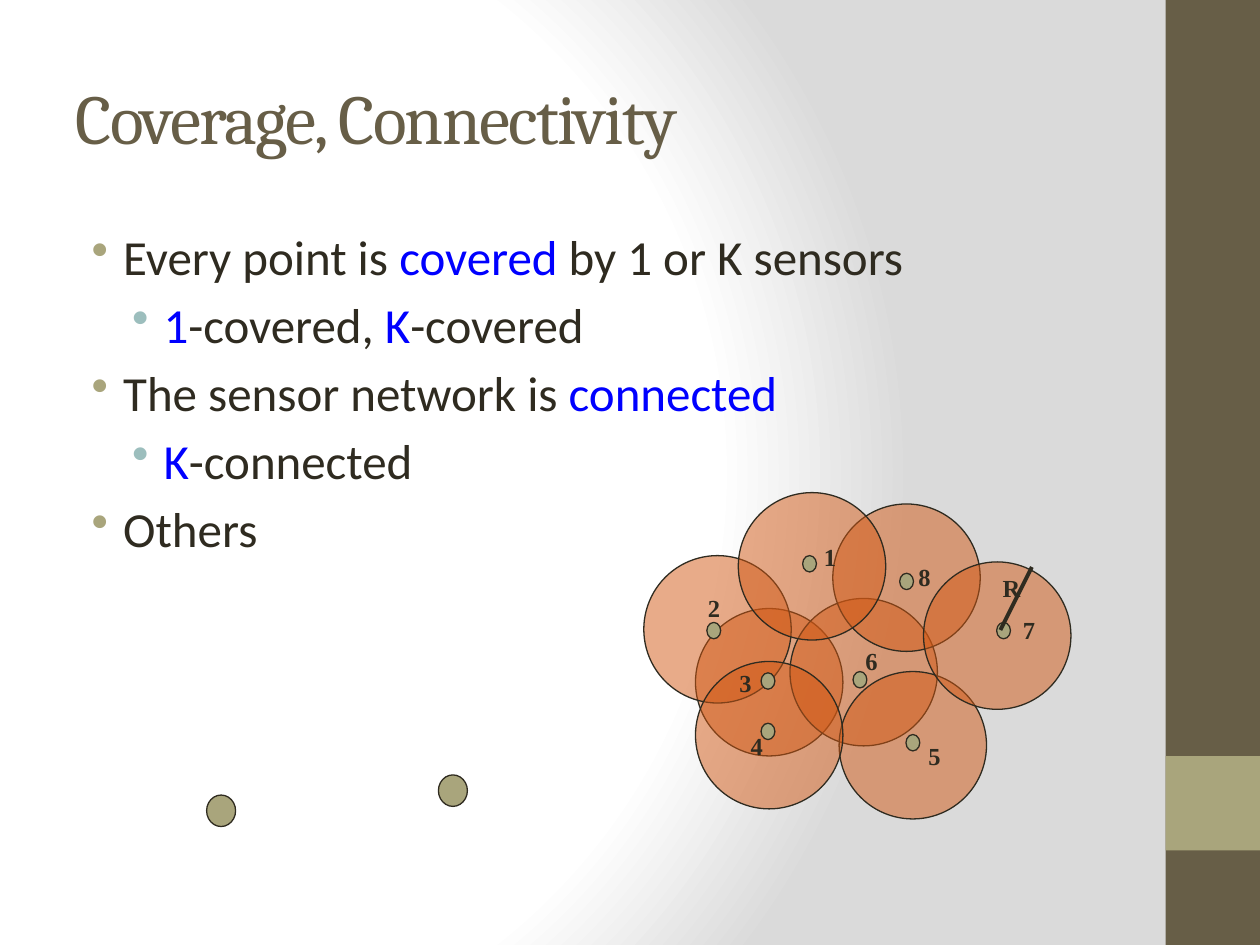
from dataclasses import dataclass

from lxml.etree import SubElement
from pptx import Presentation
from pptx.dml.color import RGBColor
from pptx.enum.shapes import MSO_CONNECTOR, MSO_SHAPE
from pptx.enum.text import MSO_ANCHOR, MSO_AUTO_SIZE, PP_ALIGN
from pptx.oxml import parse_xml
from pptx.oxml.ns import nsdecls, qn
from pptx.util import Pt

EMU_PER_PX = 9144  # 100 px to the inch


@dataclass(frozen=True)
class Theme:
    heading_font: str = "Cambria"
    body_font: str = "Calibri"
    label_font: str = "Times New Roman"
    title_size: int = 40
    body_size: int = 28
    label_size: int = 14
    ink: str = "2F2B20"
    brown: str = "675E47"
    olive: str = "A9A57C"
    teal: str = "9CBEBD"
    orange: str = "D25814"
    keyword: str = "0000FF"
    paper: str = "FFFFFF"
    shade: str = "DADADA"


THEME = Theme()


@dataclass(frozen=True)
class Sensor:
    """Offsets of one sensor's parts from the corner of the network box."""
    number: str
    disc: tuple
    dot: tuple
    label: tuple
    label_width: int = 33


# Back to front, as the coverage discs overlap
SENSORS = [
    Sensor("3", (41, 92), (93, 143), (66, 134), 42),
    Sensor("6", (116, 84), (166, 142), (166, 117)),
    Sensor("8", (150, 9), (203, 64), (208, 50)),
    Sensor("2", (0, 50), (50, 103), (41, 75)),
    Sensor("5", (155, 142), (208, 192), (216, 192)),
    Sensor("7", (222, 55), (280, 103), (291, 92)),
    Sensor("4", (41, 134), (93, 183), (75, 184)),
    Sensor("1", (75, 0), (126, 50), (133, 34), 142),
]
DISC_SIZE, DOT_SIZE, LOOSE_DOT_SIZE = (117, 117), (11, 13), (23, 25)
LABEL_HEIGHT = 33

# (level, [(text, is keyword), ...])
POINTS = [
    (0, [("Every point is ", False), ("covered", True), (" by 1 or K sensors", False)]),
    (1, [("1", True), ("-covered, ", False), ("K", True), ("-covered", False)]),
    (0, [("The sensor network is ", False), ("connected", True)]),
    (1, [("K", True), ("-connected", False)]),
    (0, [("Others", False)]),
]
LEVELS = [(38, THEME.olive), (70, THEME.teal)]  # indent, bullet colour
HANGING = 25


def px(*lengths):
    return [length * EMU_PER_PX for length in lengths]


def write(paragraph, text, *, font, size, color, bold=False, tracking=None):
    run = paragraph.add_run()
    run.text = text
    run.font.name = font
    run.font.size = Pt(size)
    run.font.bold = bold
    run.font.color.rgb = RGBColor.from_string(color)
    if tracking is not None:
        run.font._element.set("spc", str(tracking * 100))


def add_filled(slide, kind, box, color, *, outlined=False, opacity=None):
    shape = slide.shapes.add_shape(kind, *px(*box))
    shape.shadow.inherit = False
    shape.fill.solid()
    shape.fill.fore_color.rgb = RGBColor.from_string(color)
    if opacity is not None:
        tint = shape._element.spPr.find(qn("a:solidFill"))[0]
        SubElement(tint, qn("a:alpha")).set("val", str(opacity * 1000))
    if outlined:
        shape.line.color.rgb = RGBColor.from_string(THEME.ink)
        shape.line.width = Pt(0.75)
    else:
        shape.line.fill.background()


def add_bullet(paragraph, level):
    indent, color = LEVELS[level]
    paragraph.level = level
    properties = paragraph._p.get_or_add_pPr()
    properties.set("marL", str(indent * EMU_PER_PX))
    properties.set("indent", str(-HANGING * EMU_PER_PX))
    tint = SubElement(properties, qn("a:buClr"))
    SubElement(tint, qn("a:srgbClr")).set("val", color)
    SubElement(properties, qn("a:buChar")).set("char", "•")


def paint_background(slide):
    stops = "".join(
        f'<a:gs pos="{percent * 1000}"><a:srgbClr val="{color}"/></a:gs>'
        for percent, color in [(0, THEME.paper), (75, THEME.paper), (100, THEME.shade)])
    slide._element.cSld.insert(0, parse_xml(
        f'<p:bg {nsdecls("p", "a")}><p:bgPr><a:gradFill rotWithShape="1">'
        f'<a:gsLst>{stops}</a:gsLst><a:path path="circle">'
        '<a:fillToRect l="20000" t="50000" r="100000" b="50000"/></a:path>'
        '</a:gradFill><a:effectLst/></p:bgPr></p:bg>'))


def add_sidebar(slide, box):
    left, top, width, height = box
    add_filled(slide, MSO_SHAPE.RECTANGLE, box, THEME.brown)
    add_filled(slide, MSO_SHAPE.RECTANGLE, (left, top + 600, width, width), THEME.olive)


def add_title(slide, box):
    title = slide.shapes.title
    title.left, title.top, title.width, title.height = px(*box)
    frame = title.text_frame
    frame.vertical_anchor = MSO_ANCHOR.MIDDLE
    frame.auto_size = MSO_AUTO_SIZE.NONE
    heading = frame.paragraphs[0]
    heading.alignment = PP_ALIGN.LEFT
    write(heading, "Coverage, Connectivity", font=THEME.heading_font,
          size=THEME.title_size, color=THEME.brown, tracking=-1)


def add_points(slide, box):
    frame = slide.shapes.add_textbox(*px(*box)).text_frame
    frame.word_wrap = True
    for index, (level, pieces) in enumerate(POINTS):
        point = frame.add_paragraph() if index else frame.paragraphs[0]
        add_bullet(point, level)
        if index:
            point.space_before = Pt(5.2)
        for text, is_keyword in pieces:
            write(point, text, font=THEME.body_font, size=THEME.body_size,
                  color=THEME.keyword if is_keyword else THEME.ink)


def add_label(slide, box, text):
    frame = slide.shapes.add_textbox(*px(*box)).text_frame
    frame.word_wrap = True
    frame.auto_size = MSO_AUTO_SIZE.SHAPE_TO_FIT_TEXT
    write(frame.paragraphs[0], text, font=THEME.label_font,
          size=THEME.label_size, color=THEME.ink, bold=True)


def add_dot(slide, corner, size):
    add_filled(slide, MSO_SHAPE.OVAL, (*corner, *size), THEME.olive, outlined=True)


def add_network(slide, left, top):
    """Draw overlapping coverage discs, their sensors and the radius R."""
    def at(offset):
        return left + offset[0], top + offset[1]

    for sensor in SENSORS:
        add_filled(slide, MSO_SHAPE.OVAL, (*at(sensor.disc), *DISC_SIZE),
                   THEME.orange, outlined=True, opacity=50)
    for sensor in SENSORS:
        add_dot(slide, at(sensor.dot), DOT_SIZE)
        add_label(slide, (*at(sensor.label), sensor.label_width, LABEL_HEIGHT),
                  sensor.number)

    radius = slide.shapes.add_connector(
        MSO_CONNECTOR.STRAIGHT, *px(*at((283, 109)), *at((308, 59))))
    radius.line.color.rgb = RGBColor.from_string(THEME.ink)
    radius.line.width = Pt(2.25)
    SubElement(radius._element.spPr, qn("a:effectLst"))
    add_label(slide, (*at((275, 59)), 33, LABEL_HEIGHT), "R")


def add_loose_sensors(slide, left, top):
    for across, down in [(0, 16), (184, 0)]:
        add_dot(slide, (left + across, top + down), LOOSE_DOT_SIZE)


def main():
    deck = Presentation()
    deck.slide_width, deck.slide_height = px(1000, 750)
    slide = deck.slides.add_slide(deck.slide_layouts[5])
    paint_background(slide)
    add_sidebar(slide, (925, 0, 75, 750))
    add_title(slide, (50, 30, 833, 125))
    add_points(slide, (50, 175, 833, 525))
    add_network(slide, 511, 391)
    add_loose_sensors(slide, 164, 615)
    deck.save("out.pptx")


if __name__ == "__main__":
    main()
